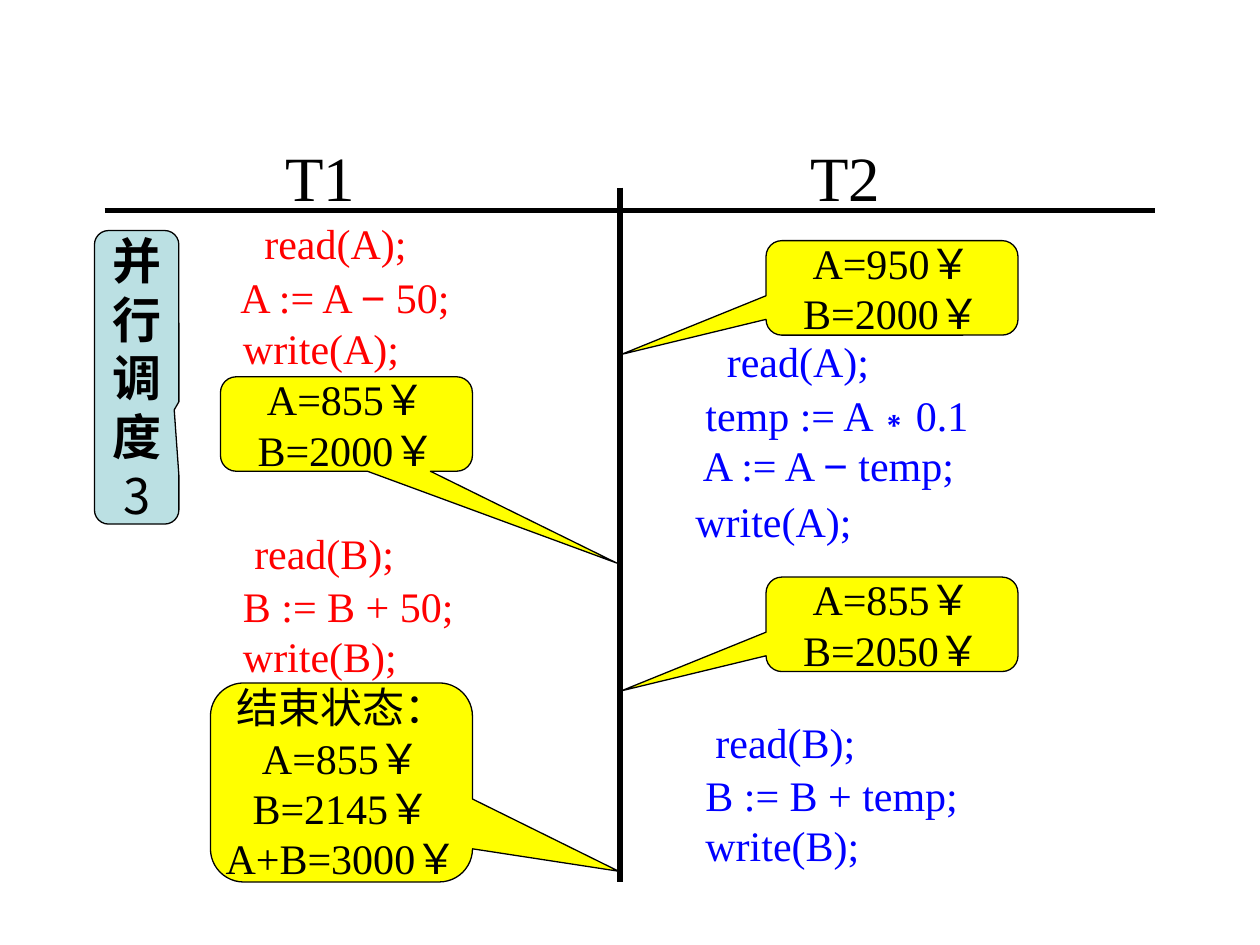
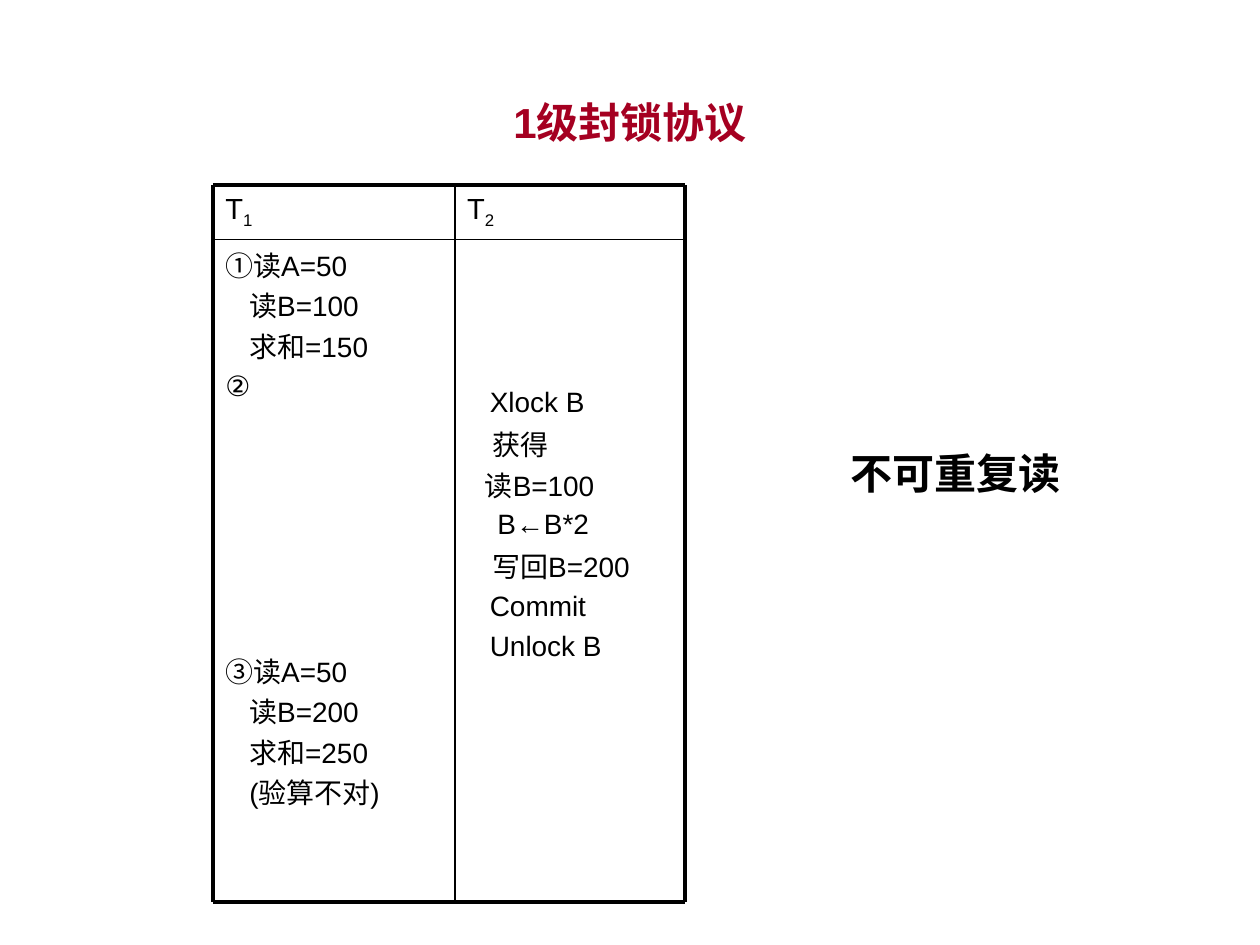
from dataclasses import dataclass
from itertools import groupby

from lxml import etree
from pptx import Presentation
from pptx.dml.color import RGBColor
from pptx.enum.shapes import MSO_CONNECTOR as Conn, MSO_SHAPE as Shape
from pptx.enum.text import MSO_ANCHOR as Anchor, PP_ALIGN as Align
from pptx.oxml.ns import qn
from pptx.util import Inches, Pt

BLACK, RED, BLUE = "000000", "FF0000", "0000FF"
YELLOW, TEAL, WINE = "FFFF00", "BBE0E3", "A50021"
SERIF, SANS, HAN = "Times New Roman", "Arial", "Noto Sans CJK SC"
MATH = "−∗"  # operators set in the sans face
LEADING = 1.2


@dataclass
class Line:
    text: str
    indent: float = 0
    gap: float = 0
    sub: str = ""
    bold: bool = None


def rgb(code):
    return RGBColor.from_string(code)


def apply(item, **vals):
    for key, val in vals.items():
        setattr(item, key, val)


def add_run(para, text, size, face, color, bold):
    run = para.add_run()
    run.text = text
    apply(run.font, size=Pt(size), name=face, bold=bold)
    run.font.color.rgb = rgb(color)
    props = run.font._element
    etree.SubElement(props, qn("a:ea")).set("typeface", HAN)
    return props


def write(frame, lines, size=24, face=SERIF, color=BLACK, bold=False,
          align=Align.LEFT):
    """Fill a text frame with one paragraph for each line."""
    for i, line in enumerate(lines):
        if isinstance(line, str):
            line = Line(line)
        para = frame.add_paragraph() if i else frame.paragraphs[0]
        props = para._p.get_or_add_pPr()
        props.set("marL", str(Inches(line.indent)))
        props.set("indent", "0")
        apply(para, alignment=align, line_spacing=Pt(size * LEADING),
              space_before=Pt(line.gap))
        heavy = bold if line.bold is None else line.bold
        for is_math, part in groupby(line.text, lambda c: c in MATH):
            add_run(para, "".join(part), size, SANS if is_math else face,
                    color, heavy)
        if line.sub:
            low = add_run(para, line.sub, size, face, color, heavy)
            low.set("baseline", "-25000")


def set_frame(frame, top=0.05, wrap=True, anchor=Anchor.TOP):
    apply(frame, word_wrap=wrap, vertical_anchor=anchor,
          margin_left=Inches(0.1), margin_right=Inches(0.1),
          margin_top=Inches(top), margin_bottom=Inches(0.05))
    return frame


def add_text(slide, box, lines, top=0.05, wrap=True, anchor=Anchor.TOP, **style):
    area = slide.shapes.add_textbox(*map(Inches, box))
    write(set_frame(area.text_frame, top, wrap, anchor), lines, **style)


def add_rule(slide, ends, width=3):
    rule = slide.shapes.add_connector(Conn.STRAIGHT, *map(Inches, ends))
    rule.line.width = Pt(width)
    rule.line.color.rgb = rgb(BLACK)
    etree.SubElement(rule._element.spPr, qn("a:effectLst"))


def add_callout(slide, box, tip, lines, fill=YELLOW, **style):
    note = slide.shapes.add_shape(Shape.ROUNDED_RECTANGULAR_CALLOUT,
                                  *map(Inches, box))
    for i, val in enumerate((*tip, 0.167)):
        note.adjustments[i] = val
    note.shadow.inherit = False
    note.fill.solid()
    note.fill.fore_color.rgb = rgb(fill)
    note.line.width = Pt(0.75)
    note.line.color.rgb = rgb(BLACK)
    frame = set_frame(note.text_frame, wrap=False, anchor=Anchor.MIDDLE)
    write(frame, lines, align=Align.CENTER, **style)


# Slide 1: the two columns of a schedule
def add_code(slide, left, top, width, height, color, drop, lines):
    add_text(slide, (left, top, width, height), lines, top=drop, color=color)


def add_first(slide, left, top):
    """Steps of T1 and the states after them."""
    x = left + 0.5
    add_text(slide, (left + 1.17, top, 1.08, 0.7), ["T1"], size=36,
             align=Align.CENTER)
    add_code(slide, x, top + 0.52, 3.33, 1.44, RED, 0.16, [
        Line("read(A);", 0.67), Line("A := A − 50;", 0.48, 2),
        Line("write(A);", 0.5)])
    add_code(slide, x, top + 3.03, 3.33, 1.37, RED, 0.11, [
        Line("read(B);", 0.59), Line("B := B + 50;", 0.5, 1),
        Line("write(B);", 0.5)])
    add_callout(slide, (left + 0.92, top + 1.94, 2, 0.75), (1.073, 1.472),
                ["A=855￥", "B=2000￥"])
    add_callout(slide, (left + 0.84, top + 4.37, 2.08, 1.58), (1.058, 0.446),
                ["结束状态：", "A=855￥", "B=2145￥", "A+B=3000￥"])


def add_second(slide, left, top):
    """Steps of T2 and the states it meets."""
    x = left + 0.08
    add_text(slide, (left + 1.25, top, 1.08, 0.7), ["T2"], size=36,
             align=Align.CENTER)
    add_code(slide, x, top + 1.45, 4.25, 1.9, BLUE, 0.16, [
        Line("read(A);", 0.67), Line("temp := A∗0.1", 0.5, 2),
        Line("A := A − temp;", 0.48), Line("write(A);", 0.42, 3.5)])
    add_code(slide, x, top + 4.53, 4.25, 1.37, BLUE, 0.11, [
        Line("read(B);", 0.58), Line("B := B + temp;", 0.5, 1),
        Line("write(B);", 0.5)])
    states = [(0.86, ["A=950￥", "B=2000￥"]), (3.53, ["A=855￥", "B=2050￥"])]
    for drop, lines in states:
        add_callout(slide, (left + 1.16, top + drop, 2, 0.75),
                    (-1.074, 0.704), lines)


def add_plan(deck):
    slide = deck.slides.add_slide(deck.slide_layouts[6])
    left, mid, top = 0.83, 4.92, 1.05
    add_rule(slide, (left, 1.67, 9.17, 1.67))
    add_rule(slide, (mid, 1.49, mid, 7))
    add_first(slide, left, top)
    add_second(slide, mid, top)
    add_callout(slide, (0.75, 1.83, 0.67, 2.33), (0.445, 0.111),
                [*"并行调度", Line("3", bold=False)], fill=TEAL,
                size=28, face=HAN, bold=True)


# Slide 2: the ruled lock grid
def add_locks(slide, left, top, cols, rows):
    group = slide.shapes.add_group_shape()
    xs = [left, left + cols[0], left + sum(cols)]
    ys = [top, top + rows[0], top + sum(rows)]

    step, inset = 4, 0.19
    skip = step + 6 * (16 * LEADING + step)  # six lines left open
    first = [Line("①读A=50"), Line("读B=100", inset, step),
             Line("求和=150", inset, step), Line("②", 0, step - 1),
             Line("③读A=50", 0, skip + 1), Line("读B=200", inset, step),
             Line("求和=250", inset, step), Line("(验算不对)", inset, step)]
    second = [Line("Xlock B", 0.18), Line("获得", 0.2, step + 1.5),
              Line("读B=100", 0.14, step), Line("B←B*2", 0.24, step - 1),
              Line("写回B=200", 0.2, step + 1), Line("Commit", 0.18, step - 1),
              Line("Unlock B", 0.18, step)]
    heads = [[Line("T", sub=n)] for n in "12"]
    grid = [(heads, 16.6, (0.08, 0.08)), ((first, second), 16, (0.07, 1.15))]
    for y, height, (texts, size, drops) in zip(ys, rows, grid):
        for x, width, lines, drop in zip(xs, cols, texts, drops):
            add_text(group, (x, y, width, height), lines, top=drop,
                     size=size, face=SANS)

    weights = (2.25, 1, 2.25)
    for x, y, weight in zip(xs, ys, weights):
        add_rule(group, (xs[0], y, xs[-1], y), weight)
        add_rule(group, (x, ys[0], x, ys[-1]), weight)


def add_lock_slide(deck):
    slide = deck.slides.add_slide(deck.slide_layouts[5])
    title = slide.shapes.title
    apply(title, left=Inches(0.96), top=Inches(0.76),
          width=Inches(8.08), height=Inches(0.41))
    write(set_frame(title.text_frame, anchor=Anchor.MIDDLE), ["1级封锁协议"],
          face=SANS, color=WINE, bold=True, align=Align.CENTER)
    add_locks(slide, 1.69, 1.47, (1.92, 1.83), (0.43, 5.26))
    add_text(slide, (6.17, 3.42, 2.83, 0.67), ["不可重复读"], wrap=False,
             anchor=Anchor.MIDDLE, bold=True, align=Align.CENTER)


def main():
    deck = Presentation()
    apply(deck, slide_width=Inches(10), slide_height=Inches(7.5))
    add_plan(deck)
    add_lock_slide(deck)
    deck.save("out.pptx")


if __name__ == "__main__":
    main()
